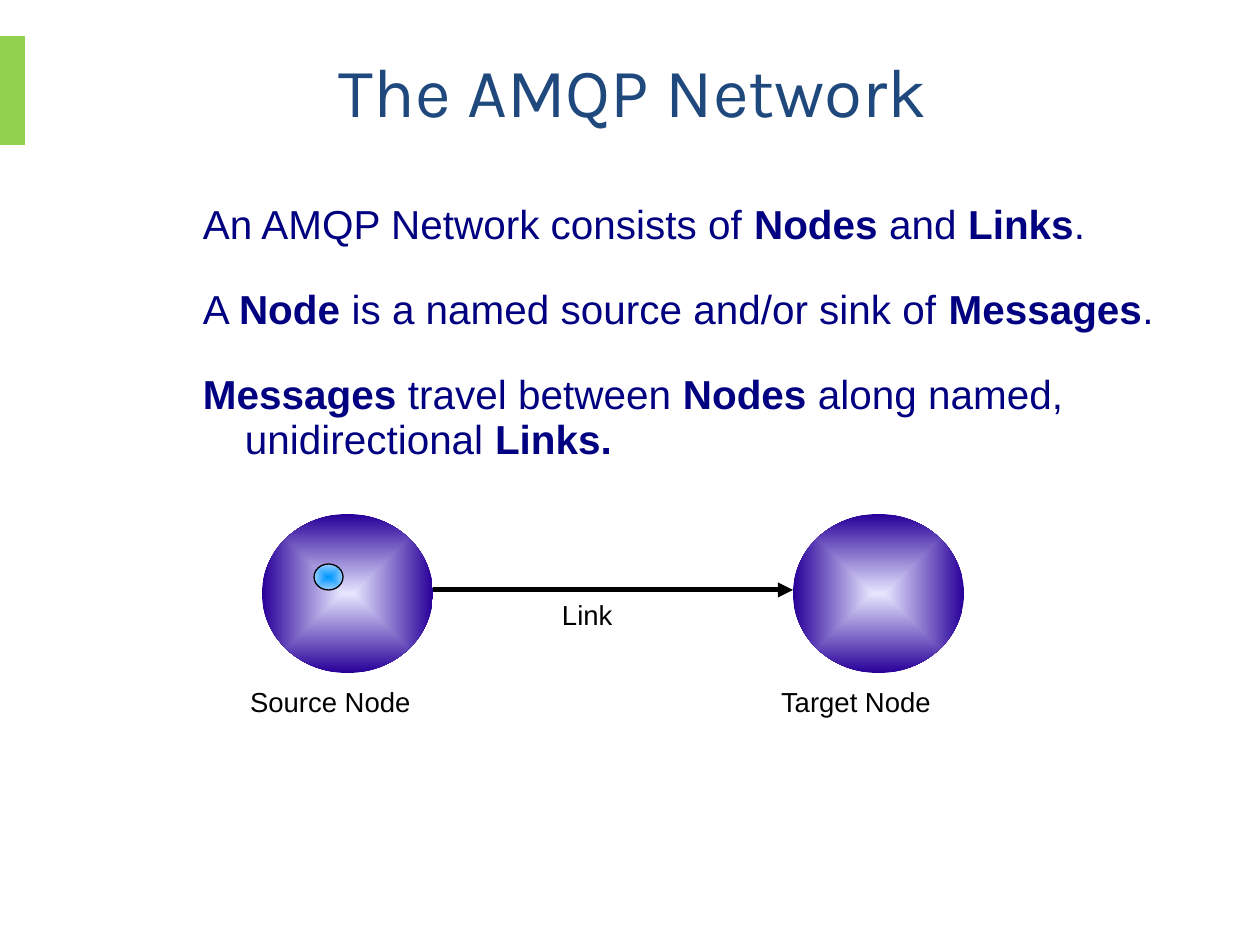
from lxml import etree
from pptx import Presentation
from pptx.dml.color import RGBColor
from pptx.enum import shapes, text
from pptx.oxml import parse_xml
from pptx.oxml.ns import nsdecls, qn
from pptx.util import Emu, Pt

PX = 914400 / 126
THEME = {
    "accent": "92D050", "title": "1F497D", "body": "000080", "ink": "000000",
    "node": ("E6E6FF", "280099"), "message": ("0099FF", "99CCFF"),
    "title_font": "Karla", "body_font": "Arial",
    "title_size": 39.6, "body_size": 23.1, "label_size": 15.7,
}


def box(*lengths):
    return [Emu(round(length * PX)) for length in lengths]


def style(run, size, color, font, bold=False):
    run.font.size = Pt(size)
    run.font.color.rgb = RGBColor.from_string(color)
    run.font.name = font
    run.font.bold = bold


presentation = Presentation()
presentation.slide_width, presentation.slide_height = box(1260, 945)
slide = presentation.slides.add_slide(presentation.slide_layouts[5])

accent = slide.shapes.add_shape(shapes.MSO_SHAPE.RECTANGLE, *box(0, 36, 25, 109))
accent.fill.solid()
accent.fill.fore_color.rgb = RGBColor.from_string(THEME["accent"])
accent.line.fill.background()
accent.shadow.inherit = False

title = slide.shapes.title
title.left, title.top, title.width, title.height = box(115, 60, 1036, 59)
title.text_frame.text = "The AMQP Network"
title.text_frame.vertical_anchor = text.MSO_ANCHOR.MIDDLE
title.text_frame.auto_size = text.MSO_AUTO_SIZE.NONE
title.text_frame.paragraphs[0].alignment = text.PP_ALIGN.CENTER
style(title.text_frame.paragraphs[0].runs[0],
      THEME["title_size"], THEME["title"], THEME["title_font"])

NODE_TOP, NODE_WIDTH, NODE_HEIGHT = 514, 171, 159
SOURCE_LEFT, TARGET_LEFT = 262, 793
ellipses = [
    (TARGET_LEFT, NODE_TOP, NODE_WIDTH, NODE_HEIGHT, "node"),
    (SOURCE_LEFT, NODE_TOP, NODE_WIDTH, NODE_HEIGHT, "node"),
    (314, 564, 29, 26, "message"),
]
for *frame, kind in ellipses:
    ellipse = slide.shapes.add_shape(shapes.MSO_SHAPE.OVAL, *box(*frame))
    ellipse.shadow.inherit = False
    inner, outer = THEME[kind]
    gradient = parse_xml(
        f'<a:gradFill {nsdecls("a")} rotWithShape="1"><a:gsLst>'
        f'<a:gs pos="0"><a:srgbClr val="{inner}"/></a:gs>'
        f'<a:gs pos="100000"><a:srgbClr val="{outer}"/></a:gs></a:gsLst>'
        '<a:path path="shape"><a:fillToRect l="50000" t="50000" r="50000" b="50000"/></a:path>'
        '</a:gradFill>')
    ellipse._element.spPr.find(qn("a:prstGeom")).addnext(gradient)
    if kind == "message":
        ellipse.line.color.rgb = RGBColor.from_string(THEME["ink"])
        ellipse.line.width = Pt(0.75)
    else:
        ellipse.line.fill.background()

link = slide.shapes.add_connector(
    shapes.MSO_CONNECTOR.STRAIGHT, *box(SOURCE_LEFT + NODE_WIDTH, 590, TARGET_LEFT, 590))
link.line.color.rgb = RGBColor.from_string(THEME["ink"])
link.line.width = Pt(2.89)
etree.SubElement(link.line._get_or_add_ln(), qn("a:tailEnd"), type="triangle")
etree.SubElement(link._element.spPr, qn("a:effectLst"))

text_boxes = [
    ((239, 683, 223, 40), ["Source Node"], "label"),
    ((551, 596, 142, 40), ["Link"], "label"),
    ((770, 683, 222, 40), ["Target Node"], "label"),
    ((192, 198, 1057, 262), [
        "An AMQP Network consists of *Nodes* and *Links*.",
        "A *Node* is a named source and/or sink of *Messages*.",
        "*Messages* travel between *Nodes* along named, unidirectional *Links.*",
    ], "body"),
]
for frame, lines, kind in text_boxes:
    text_frame = slide.shapes.add_textbox(*box(*frame)).text_frame
    text_frame.word_wrap = True
    text_frame.margin_left, text_frame.margin_right = box(11, 11)
    text_frame.margin_top, text_frame.margin_bottom = box(5, 5)
    for index, line in enumerate(lines):
        paragraph = text_frame.add_paragraph() if index else text_frame.paragraphs[0]
        paragraph.line_spacing = 0.93
        if kind == "body":
            paragraph.space_after = Pt(22.9)
            hanging, = box(42)
            properties = paragraph._p.get_or_add_pPr()
            properties.set("marL", str(hanging))
            properties.set("indent", str(-hanging))
        for position, part in enumerate(line.split("*")):
            if part:
                run = paragraph.add_run()
                run.text = part
                style(run, THEME[f"{kind}_size"],
                      THEME["body" if kind == "body" else "ink"],
                      THEME["body_font"], position % 2 == 1)

presentation.save("out.pptx")
